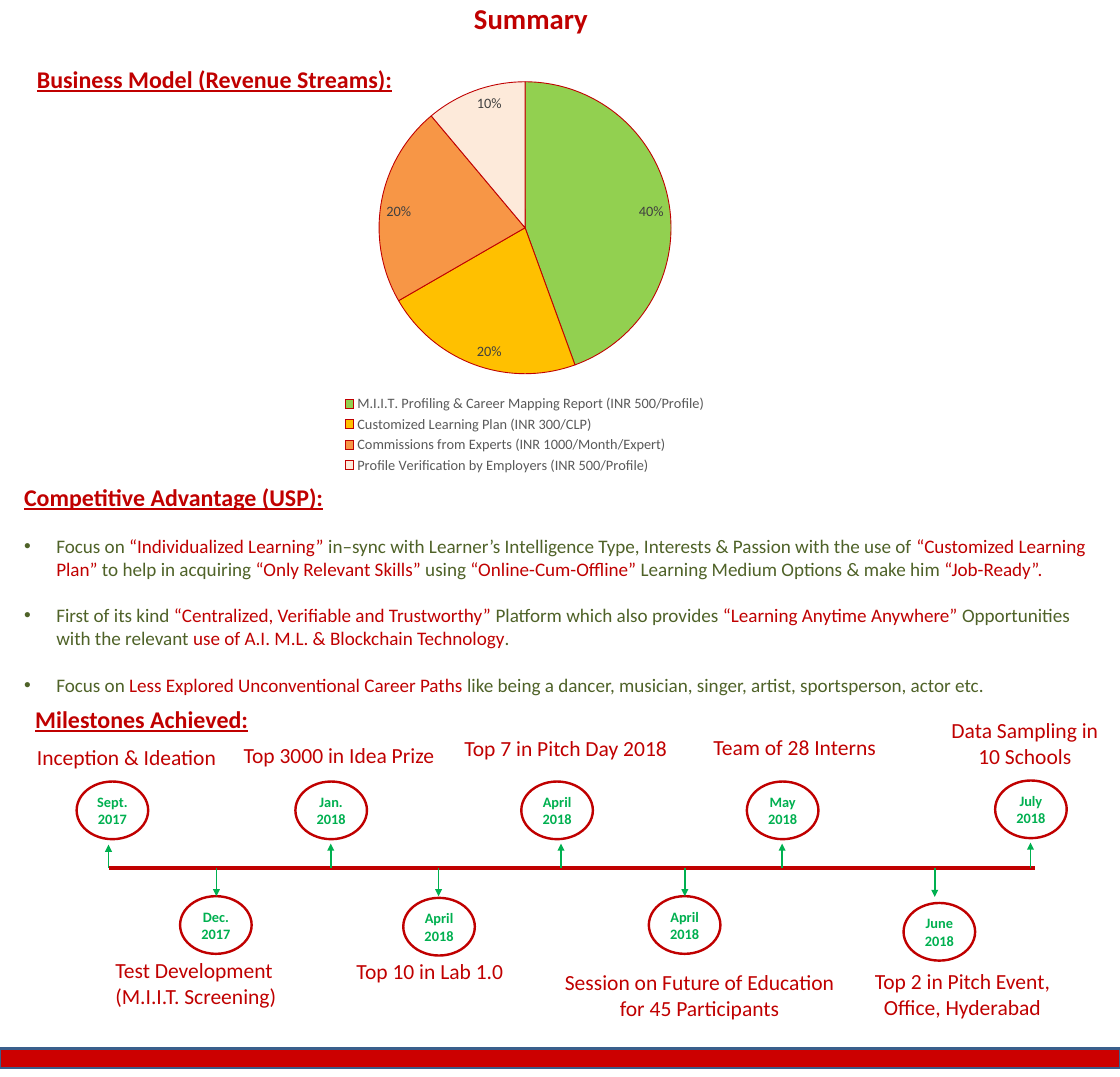
from itertools import cycle

from lxml.etree import SubElement
from pptx import Presentation
from pptx.chart.data import CategoryChartData
from pptx.dml.color import RGBColor
from pptx.enum.chart import XL_CHART_TYPE, XL_LABEL_POSITION, XL_LEGEND_POSITION
from pptx.enum.shapes import MSO_CONNECTOR, MSO_SHAPE
from pptx.enum.text import MSO_ANCHOR, MSO_AUTO_SIZE, PP_ALIGN
from pptx.oxml.ns import qn
from pptx.util import Cm, Pt

FONT = "Calibri"
RED = RGBColor(0xC0, 0x00, 0x00)
BAR_RED = RGBColor(0xCC, 0x00, 0x00)
BAR_EDGE = RGBColor(0x3A, 0x5F, 0x8C)
OLIVE = RGBColor(0x4F, 0x62, 0x28)
GREEN = RGBColor(0x00, 0xB0, 0x50)
WHITE = RGBColor(0xFF, 0xFF, 0xFF)
BLACK = RGBColor(0x00, 0x00, 0x00)
LEGEND_GREY = RGBColor(0x59, 0x59, 0x59)
LABEL_GREY = RGBColor(0x40, 0x40, 0x40)

AXIS_Y = 25.58
OVAL_WIDTH, OVAL_HEIGHT = 2.11, 1.7

REVENUE_STREAMS = [
    ("M.I.I.T. Profiling & Career Mapping Report (INR 500/Profile)", 0.4, RGBColor(0x92, 0xD0, 0x50)),
    ("Customized Learning Plan (INR 300/CLP)", 0.2, RGBColor(0xFF, 0xC0, 0x00)),
    ("Commissions from Experts (INR 1000/Month/Expert)", 0.2, RGBColor(0xF7, 0x96, 0x46)),
    ("Profile Verification by Employers (INR 500/Profile)", 0.1, RGBColor(0xFD, 0xEA, 0xDA)),
]

ADVANTAGES = [
    ["Focus on ", "“Individualized Learning” ",
     "in–sync with Learner’s Intelligence Type, Interests & Passion with the use of ",
     "“Customized Learning Plan” ", "to help in acquiring", " “Only Relevant Skills”",
     " using", " “Online-Cum-Offline” ", "Learning Medium Options & make him ", "“Job-Ready”."],
    ["First of its kind ", "“Centralized, Verifiable and Trustworthy” ",
     "Platform which also provides", " “Learning Anytime Anywhere” ",
     "Opportunities with the relevant ", "use of A.I. M.L. & Blockchain Technology", "."],
    ["Focus on ", "Less Explored Unconventional Career Paths",
     " like being a dancer, musician, singer, artist, sportsperson, actor etc."],
]

MILESTONE_DATES = [
    ("Sept. 2017", 2.26, 23.04, 3.2, 24.9),
    ("Jan. 2018", 8.71, 23.04, 9.75, 24.87),
    ("April 2018", 15.37, 23.04, 16.54, 24.87),
    ("May 2018", 22.02, 23.04, 23.06, 24.87),
    ("July 2018", 29.34, 23.01, 30.38, 24.84),
    ("Dec. 2017", 5.31, 26.42, 6.38, 26.42),
    ("April 2018", 11.89, 26.47, 12.93, 26.42),
    ("April 2018", 19.13, 26.42, 20.19, 26.42),
    ("June 2018", 26.64, 26.62, 27.56, 26.44),
]

MILESTONE_LABELS = [
    (["Inception & Ideation"], 0.84, 21.82, 6.02, PP_ALIGN.LEFT),
    (["Top 3000 in Idea Prize"], 6.93, 21.74, 6.5, PP_ALIGN.LEFT),
    (["Top 7 in Pitch Day 2018"], 13.44, 21.54, 7.01, PP_ALIGN.LEFT),
    (["Team of 28 Interns"], 20.78, 21.51, 5.36, PP_ALIGN.LEFT),
    (["Data Sampling in", "10 Schools"], 27.33, 21.01, 5.77, PP_ALIGN.CENTER),
    (["Test Development", "(M.I.I.T. Screening)"], 3.15, 28.09, 5.46, PP_ALIGN.LEFT),
    (["Top 10 in Lab 1.0"], 10.26, 28.12, 5.11, PP_ALIGN.LEFT),
    (["Session on Future of Education", "for 45 Participants"], 16.28, 28.45, 8.69, PP_ALIGN.CENTER),
    (["Top 2 in Pitch Event,", "Office, Hyderabad"], 25.3, 28.42, 6.15, PP_ALIGN.CENTER),
]


def style_font(font, size, color, bold=False, underline=False):
    font.name = FONT
    font.size = Pt(size)
    font.color.rgb = color
    font.bold = bold
    font.underline = underline


def add_run(paragraph, text, size, color, bold=False, underline=False):
    run = paragraph.add_run()
    run.text = text
    style_font(run.font, size, color, bold, underline)


def add_text_frame(slide, left, top, width, height, wrap=False):
    box = slide.shapes.add_textbox(Cm(left), Cm(top), Cm(width), Cm(height))
    box.text_frame.word_wrap = wrap
    return box.text_frame


def add_heading(slide, text, left, top, width):
    text_frame = add_text_frame(slide, left, top, width, 1.12)
    add_run(text_frame.paragraphs[0], text, 20, RED, True, True)


def add_label(slide, lines, left, top, width, alignment):
    text_frame = add_text_frame(slide, left, top, width, 0.24 + 0.78 * len(lines))
    paragraph = text_frame.paragraphs[0]
    paragraph.alignment = alignment
    for index, line in enumerate(lines):
        if index:
            paragraph.add_line_break()
        add_run(paragraph, line, 18, RED)


def add_filled_shape(slide, kind, left, top, width, height, fill, edge):
    shape = slide.shapes.add_shape(kind, Cm(left), Cm(top), Cm(width), Cm(height))
    shape.shadow.inherit = False
    shape.fill.solid()
    shape.fill.fore_color.rgb = fill
    shape.line.color.rgb = edge
    shape.line.width = Pt(2)
    return shape


def add_line(slide, start, end, color, width, arrow=False):
    connector = slide.shapes.add_connector(
        MSO_CONNECTOR.STRAIGHT, *(Cm(value) for value in start + end))
    connector.line.color.rgb = color
    connector.line.width = Pt(width)
    if arrow:
        SubElement(connector.line._get_or_add_ln(), qn("a:tailEnd"), type="triangle")
    SubElement(connector._element.spPr, qn("a:effectLst"))


def add_date(slide, date, left, top, arrow_x, arrow_tip):
    oval = add_filled_shape(slide, MSO_SHAPE.OVAL, left, top, OVAL_WIDTH, OVAL_HEIGHT, WHITE, RED)
    oval.text_frame.word_wrap = True
    oval.text_frame.vertical_anchor = MSO_ANCHOR.MIDDLE
    paragraph = oval.text_frame.paragraphs[0]
    paragraph.alignment = PP_ALIGN.CENTER
    add_run(paragraph, date, 12, GREEN, True)
    add_line(slide, (arrow_x, AXIS_Y), (arrow_x, arrow_tip), GREEN, 1.5, True)


def add_title(slide):
    title = slide.shapes.title
    title.left, title.top, title.width, title.height = Cm(13.72), Cm(-0.05), Cm(4.45), Cm(1.27)
    title.text_frame.auto_size = MSO_AUTO_SIZE.NONE
    title.text_frame.vertical_anchor = MSO_ANCHOR.MIDDLE
    paragraph = title.text_frame.paragraphs[0]
    paragraph.alignment = PP_ALIGN.LEFT
    paragraph.line_spacing = 0.9
    add_run(paragraph, "Summary", 24, RED, True)


def add_advantages(slide):
    text_frame = add_text_frame(slide, 0.46, 14.1, 31.88, 6.58, True)
    add_run(text_frame.paragraphs[0], "Competitive Advantage (USP):", 20, RED, True, True)
    for pieces in ADVANTAGES:
        paragraph = text_frame.add_paragraph()
        paragraph.space_before = Pt(19.5)
        properties = paragraph._p.get_or_add_pPr()
        properties.set("marL", str(Cm(0.95)))
        properties.set("indent", str(-Cm(0.95)))
        SubElement(properties, qn("a:buFont"), typeface="Arial")
        SubElement(properties, qn("a:buChar"), char="•")
        for text, color in zip(pieces, cycle([OLIVE, RED])):
            add_run(paragraph, text, 16, color)


def add_revenue_chart(slide):
    chart_data = CategoryChartData(number_format="0%")
    chart_data.categories = [name for name, _, _ in REVENUE_STREAMS]
    chart_data.add_series("Series 1", [share for _, share, _ in REVENUE_STREAMS])
    chart = slide.shapes.add_chart(
        XL_CHART_TYPE.PIE, Cm(6.45), Cm(2.06), Cm(18.06), Cm(12.01), chart_data).chart
    style_font(chart.font, 10, BLACK)
    chart.has_title = False
    chart.has_legend = True
    chart.legend.position = XL_LEGEND_POSITION.BOTTOM
    chart.legend.include_in_layout = False
    style_font(chart.legend.font, 12, LEGEND_GREY)
    plot = chart.plots[0]
    plot.vary_by_categories = True
    series = plot.series[0]
    for index, (_, _, color) in enumerate(REVENUE_STREAMS):
        point_format = series.points[index].format
        point_format.fill.solid()
        point_format.fill.fore_color.rgb = color
        point_format.line.color.rgb = RED
        point_format.line.width = Pt(0.75)
    labels = series.data_labels
    labels.show_value = True
    labels.number_format = "0%"
    labels.number_format_is_linked = False
    labels.position = XL_LABEL_POSITION.INSIDE_END
    style_font(labels.font, 12, LABEL_GREY)


def main():
    presentation = Presentation()
    presentation.slide_width, presentation.slide_height = Cm(33.02), Cm(31.75)
    slide = presentation.slides.add_slide(presentation.slide_layouts[5])
    add_title(slide)
    add_filled_shape(slide, MSO_SHAPE.RECTANGLE, 0, 30.91, 33.02, 0.58, BAR_RED, BAR_EDGE)
    add_advantages(slide)
    add_line(slide, (3.2, AXIS_Y), (30.5, AXIS_Y), RED, 3)
    for milestone in MILESTONE_DATES:
        add_date(slide, *milestone)
    for label in MILESTONE_LABELS:
        add_label(slide, *label)
    add_revenue_chart(slide)
    add_heading(slide, "Milestones Achieved:", 0.79, 20.65, 6.99)
    add_heading(slide, "Business Model (Revenue Streams):", 0.84, 1.78, 11.07)
    presentation.save("out.pptx")


if __name__ == "__main__":
    main()
